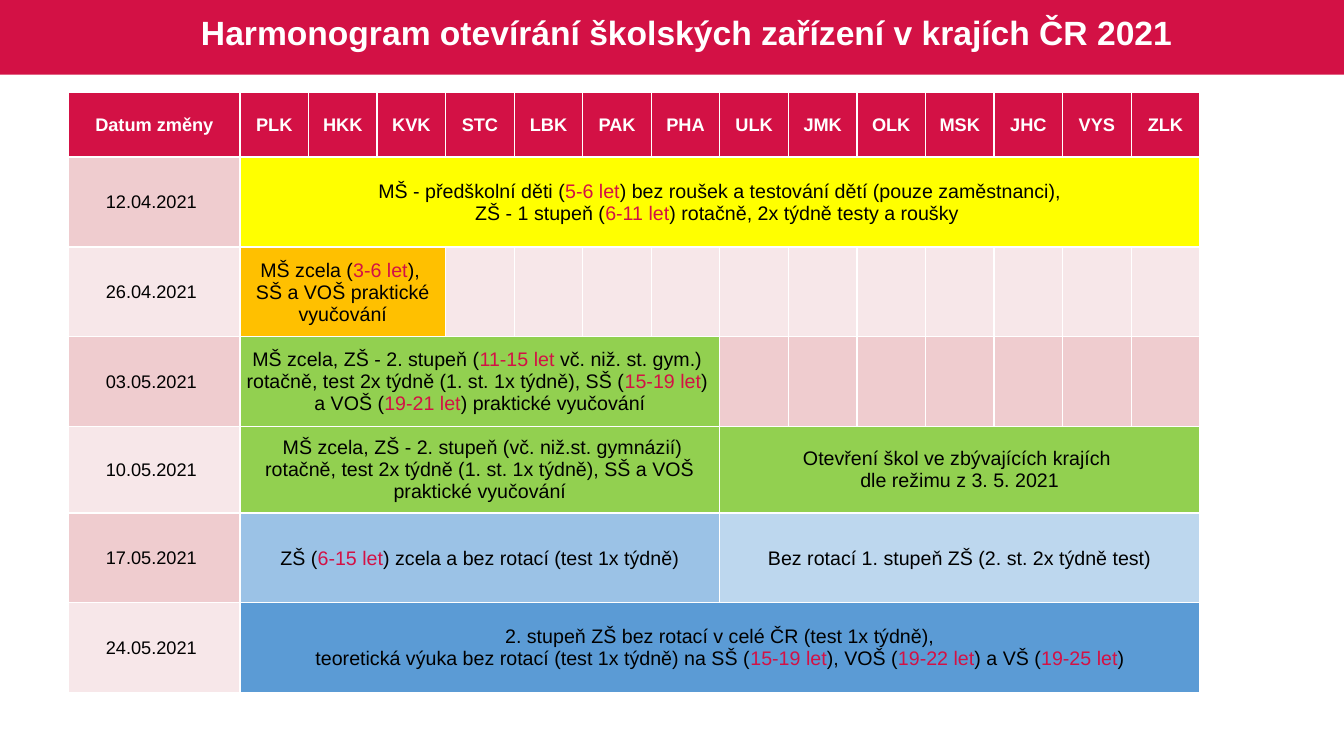
from lxml import etree
from pptx import Presentation
from pptx.dml.color import RGBColor
from pptx.enum import shapes, text
from pptx.oxml import ns
from pptx.util import Inches, Pt

RED, WHITE, BLACK = "D31145", "FFFFFF", "000000"


def tint(hue):
    return RGBColor.from_string(hue)


def write(frame, words, size, hue, bold=False):
    """Blank line = new paragraph, newline = line break, |...| = red."""
    for i, part in enumerate(words.split("\n\n")):
        para = frame.add_paragraph() if i else frame.paragraphs[0]
        para.alignment = text.PP_ALIGN.CENTER
        for j, piece in enumerate(part.split("|")):
            for k, line in enumerate(piece.split("\n")):
                if k:
                    para.add_line_break()
                run = para.add_run()
                run.text = line
                style = {"name": "Arial", "size": Pt(size), "bold": bold}
                for key, value in style.items():
                    setattr(run.font, key, value)
                run.font.color.rgb = tint(RED if j % 2 else hue)


deck = Presentation()
deck.slide_width, deck.slide_height = Inches(13.33), Inches(7.5)
slide = deck.slides.add_slide(deck.slide_layouts[6])

# Title band
band = slide.shapes.add_shape(
    shapes.MSO_SHAPE.RECTANGLE, 0, 0, Inches(13.33), Inches(0.74))
band.shadow.inherit = False
band.fill.solid()
band.fill.fore_color.rgb = tint(RED)
band.line.fill.background()

title = slide.shapes.add_textbox(
    Inches(0.42), Inches(0.03), Inches(12.78), Inches(0.63)).text_frame
title.word_wrap = True
title.vertical_anchor = text.MSO_ANCHOR.MIDDLE
write(title, "Harmonogram otevírání školských zařízení v krajích ČR 2021",
      24, WHITE, True)
title.paragraphs[0].line_spacing = 0.9

# Schedule: date, then blocks of (columns spanned, fill, words)
heads = ["Datum změny"] + ("PLK HKK KVK STC LBK PAK PHA "
                           "ULK JMK OLK MSK JHC VYS ZLK").split()
plan = [
    ("12.04.2021", [(14, "FFFF00",
     "MŠ - předškolní děti (|5-6 let|) bez roušek a testování dětí "
     "(pouze zaměstnanci),\n"
     "ZŠ - 1 stupeň (|6-11 let|) rotačně, 2x týdně testy a roušky ")]),
    ("26.04.2021", [(3, "FFC000",
     "MŠ zcela (|3-6 let|), \nSŠ a VOŠ praktické vyučování")]),
    ("03.05.2021", [(7, "92D050",
     "MŠ zcela, ZŠ - 2. stupeň (|11-15 let |vč. niž. st. gym.) \n\n"
     "rotačně, test 2x týdně (1. st. 1x týdně), SŠ (|15-19 let|) \n"
     "a VOŠ (|19-21 let|) praktické vyučování")]),
    ("10.05.2021", [(7, "92D050",
     " MŠ zcela, ZŠ - 2. stupeň (vč. niž.st. gymnázií) rotačně, "
     "test 2x týdně (1. st. 1x týdně), SŠ a VOŠ praktické vyučování"),
     (7, "92D050",
      "Otevření škol ve zbývajících krajích \ndle režimu z 3. 5. 2021")]),
    ("17.05.2021", [(7, "9BC2E6",
     "ZŠ (|6-15 let|) zcela a bez rotací (test 1x týdně)"),
     (7, "BDD7EE", "Bez rotací 1. stupeň ZŠ (2. st. 2x týdně test)")]),
    ("24.05.2021", [(14, "5B9BD5",
     "2. stupeň ZŠ bez rotací v celé ČR (test 1x týdně),\n"
     "teoretická výuka bez rotací (test 1x týdně) na SŠ (|15-19 let|), "
     "VOŠ (|19-22 let|) a VŠ (|19-25 let|)")]),
]

# Table grid
high = [0.64, 0.89, 0.89, 0.89, 0.86, 0.89, 0.89]
wide = [1.7] + [0.68] * 14
grid = slide.shapes.add_table(
    len(high), len(wide), Inches(0.68), Inches(0.92),
    Inches(sum(wide)), Inches(sum(high))).table
for row, size in zip(grid.rows, high):
    row.height = Inches(size)
for col, size in zip(grid.columns, wide):
    col.width = Inches(size)

# Base fills, margins and white borders
for r in range(len(high)):
    for c in range(len(wide)):
        cell = grid.cell(r, c)
        look = {"margin_left": Inches(0.01), "margin_top": Inches(0.01),
                "margin_right": Inches(0.07 if r and not c else 0.01),
                "margin_bottom": 0,
                "vertical_anchor": text.MSO_ANCHOR.MIDDLE}
        for key, value in look.items():
            setattr(cell, key, value)
        cell.fill.solid()
        cell.fill.fore_color.rgb = tint(
            RED if r == 0 else "EFCCCF" if r % 2 else "F7E7E9")
        props = cell._tc.get_or_add_tcPr()
        for i, side in enumerate(("lnL", "lnR", "lnT", "lnB")):
            thick = (r, side) in ((0, "lnB"), (1, "lnT"))
            edge = etree.Element(ns.qn("a:" + side),
                                 w=str(Pt(1.5 if thick else 1)))
            fill = etree.SubElement(edge, ns.qn("a:solidFill"))
            etree.SubElement(fill, ns.qn("a:srgbClr"), val=WHITE)
            props.insert(i, edge)

# Header row
for c, head in enumerate(heads):
    write(grid.cell(0, c).text_frame, head, 13, WHITE, True)

# Dates and merged blocks
for r, (date, blocks) in enumerate(plan, 1):
    write(grid.cell(r, 0).text_frame, date, 13, BLACK)
    c = 1
    for span, hue, words in blocks:
        cell = grid.cell(r, c)
        cell.merge(grid.cell(r, c + span - 1))
        cell.fill.fore_color.rgb = tint(hue)
        write(cell.text_frame, words, 14, BLACK)
        c += span

deck.save("out.pptx")
